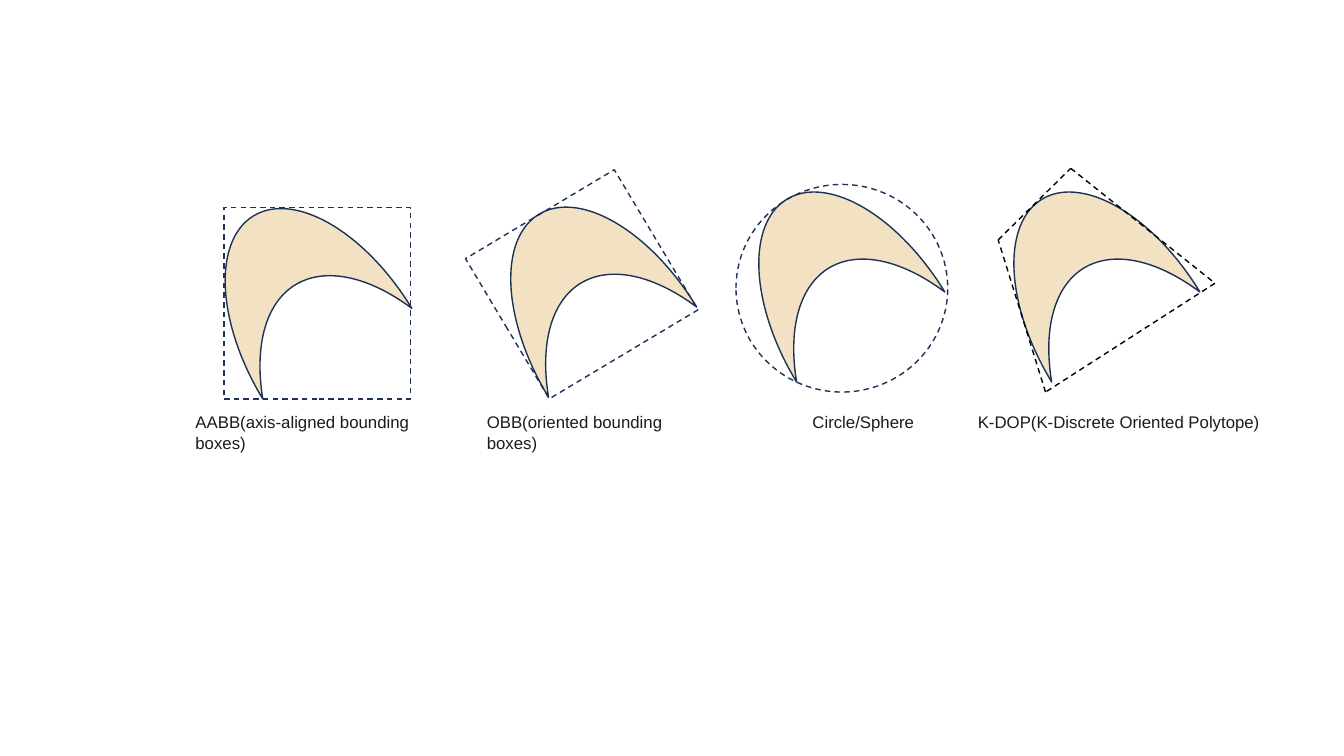
import dataclasses

import lxml.etree
import pptx
import pptx.dml.color
import pptx.enum.dml
import pptx.enum.shapes
import pptx.oxml.ns
import pptx.util

EMU_PER_PX = 9144
SHAPES = pptx.enum.shapes.MSO_SHAPE


@dataclasses.dataclass(frozen=True)
class Theme:
    body: str = "F2E1C3"
    outline: str = "1E3256"
    polytope: str = "000000"
    caption: str = "191B1F"
    font: str = "Arial"
    caption_size: int = 12
    line_width: int = 1


THEME = Theme()


@dataclasses.dataclass(frozen=True)
class Box:
    left: int
    top: int
    width: int
    height: int

    def inner(self, left, top, width, height):
        return Box(self.left + left, self.top + top, width, height)

    def emu(self):
        return [px(n) for n in (self.left, self.top, self.width, self.height)]


def px(length):
    return pptx.util.Emu(length * EMU_PER_PX)


def rgb(value):
    return pptx.dml.color.RGBColor.from_string(value)


def style_line(line, color, dashed):
    line.color.rgb = rgb(color)
    line.width = pptx.util.Pt(THEME.line_width)
    if dashed:
        line.dash_style = pptx.enum.dml.MSO_LINE.DASH


def add_outline(slide, kind, box, rotation=0, fill=None, dashed=True):
    outline = slide.shapes.add_shape(kind, *box.emu())
    outline.rotation = rotation
    outline.shadow.inherit = False
    if fill:
        outline.fill.solid()
        outline.fill.fore_color.rgb = rgb(fill)
    else:
        outline.fill.background()
    style_line(outline.line, THEME.outline, dashed)


def add_crescent(slide, box):
    add_outline(slide, SHAPES.MOON, box, 58.7, THEME.body, dashed=False)


def add_edge(slide, start, end):
    edge = slide.shapes.add_connector(
        pptx.enum.shapes.MSO_CONNECTOR.STRAIGHT, *[px(n) for n in (*start, *end)])
    style_line(edge.line, THEME.polytope, dashed=True)
    lxml.etree.SubElement(edge.element.spPr, pptx.oxml.ns.qn("a:effectLst"))


def add_text(slide, text, box, size=THEME.caption_size, color=THEME.caption, font=THEME.font):
    frame = slide.shapes.add_textbox(*box.emu()).text_frame
    frame.word_wrap = True
    run = frame.paragraphs[0].add_run()
    run.text = text
    run.font.size = pptx.util.Pt(size)
    run.font.name = font
    run.font.color.rgb = rgb(color)


def aabb_panel(slide, box):
    add_outline(slide, SHAPES.RECTANGLE, box.inner(38, 41, 185, 190))
    add_crescent(slide, box.inner(29, 31, 160, 173))
    add_text(slide, "AABB(axis-aligned bounding boxes)", box.inner(0, 239, box.width, 30))


def obb_panel(slide, box):
    add_crescent(slide, box.inner(23, 30, 160, 172))
    add_outline(slide, SHAPES.RECTANGLE, box.inner(23, 31, 162, 172), 59.1)
    add_text(slide, "OBB(oriented bounding boxes)", box.inner(0, 239, box.width, 30))


def sphere_panel(slide, box):
    add_crescent(slide, box.inner(12, 15, 160, 172))
    add_outline(slide, SHAPES.OVAL, box.inner(0, 18, box.width, 206))
    add_text(slide, "Circle/Sphere", box.inner(66, 239, 136, 30))


def kdop_panel(slide, box):
    add_crescent(slide, box.inner(35, 15, 160, 172))
    add_text(slide, "K-DOP(K-Discrete Oriented Polytope)", box.inner(0, 239, box.width, 30))
    corners = {
        "left": (box.left + 30, box.top + 73),
        "apex": (box.left + 102, box.top + 2),
        "right": (box.left + 245, box.top + 116),
        "bottom": (box.left + 77, box.top + 224),
    }
    ring = list(corners.values())
    for start, end in zip(ring, ring[1:] + ring[:1]):
        add_edge(slide, start, end)


def main():
    deck = pptx.Presentation()
    deck.slide_width, deck.slide_height = px(1333), px(750)
    slide = deck.slides.add_slide(deck.slide_layouts[6])
    aabb_panel(slide, Box(184, 165, 260, 269))
    obb_panel(slide, Box(473, 165, 234, 269))
    sphere_panel(slide, Box(730, 165, 210, 269))
    kdop_panel(slide, Box(960, 165, 314, 269))
    deck.save("out.pptx")


if __name__ == "__main__":
    main()
